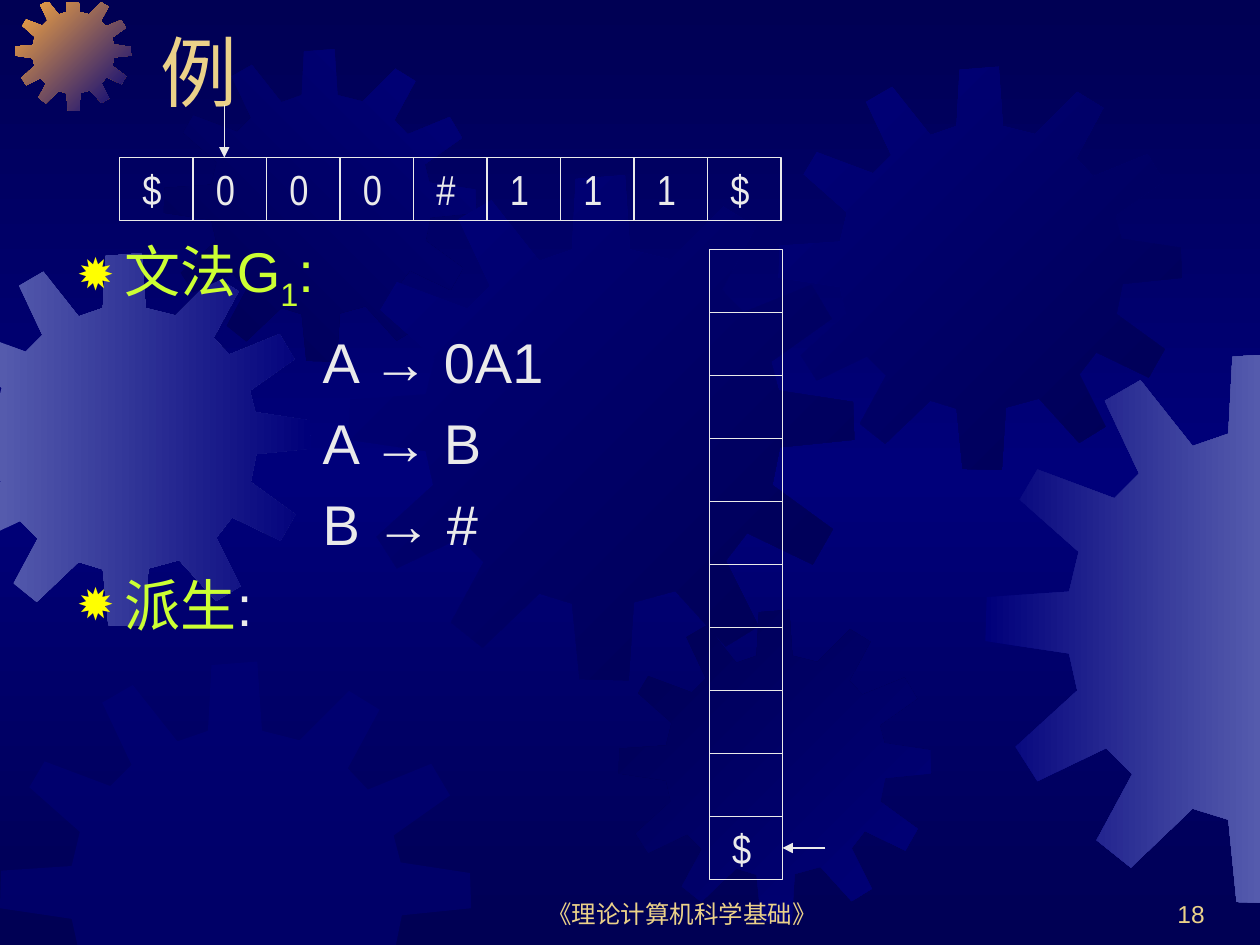
from copy import deepcopy

from lxml.etree import SubElement
from pptx import Presentation
from pptx.dml.color import RGBColor
from pptx.enum.shapes import MSO_CONNECTOR, MSO_SHAPE
from pptx.enum.text import MSO_ANCHOR, MSO_AUTO_SIZE, PP_ALIGN
from pptx.oxml.ns import qn
from pptx.util import Inches, Pt

NAVY = RGBColor(0x00, 0x00, 0x54)
BLUE = RGBColor(0x00, 0x00, 0x7A)
LILAC = RGBColor(0x55, 0x5B, 0xAD)
ORANGE = RGBColor(0xFC, 0xAB, 0x40)
GOLD = RGBColor(0xEB, 0xD1, 0x89)
LIME = RGBColor(0xCC, 0xFF, 0x33)
PALE = RGBColor(0xEA, 0xEA, 0xEA)
YELLOW = "FFFF00"

# Outline of the twelve-toothed gear on a square GEAR_SIZE units wide
GEAR_SIZE = 401
GEAR = [
    (255, 67), (223, 59), (219, 0), (180, 3), (177, 59), (151, 68),
    (113, 20), (87, 35), (112, 88), (94, 106), (38, 85), (25, 107),
    (68, 145), (61, 174), (1, 178), (0, 210), (61, 219), (67, 246),
    (22, 287), (38, 312), (88, 288), (107, 307), (81, 355), (106, 375),
    (151, 332), (177, 340), (183, 400), (222, 401), (226, 339), (259, 330),
    (299, 374), (325, 358), (299, 306), (316, 284), (368, 309), (384, 281),
    (336, 246), (342, 216), (401, 210), (400, 180), (341, 171), (335, 148),
    (383, 114), (367, 87), (313, 109), (296, 91), (323, 41), (297, 25),
]
# left, top, size, first colour, last colour, clockwise angle
GEARS = [
    (-0.49, 2.01, 2.96, LILAC, BLUE, 0),
    (0.12, -0.04, 0.92, ORANGE, BLUE, 45),
    (1.3, 0.39, 2.48, NAVY, BLUE, 315),
    (2.77, 1.39, 4.01, BLUE, NAVY, 45),
    (0, 5.25, 3.74, BLUE, None, 0),
    (4.91, 4.84, 2.48, NAVY, BLUE, 45),
    (6.18, 0.53, 3.2, BLUE, NAVY, 45),
    (7.82, 2.8, 4.37, BLUE, LILAC, 0),
]


def add_run(p, text, size=32, color=PALE, font="Arial", baseline=0):
    r = p.add_run()
    r.text = text
    r.font.size = Pt(size)
    r.font.name = font
    r.font.color.rgb = color
    if baseline:
        r._r.get_or_add_rPr().set("baseline", str(baseline * 1000))


def set_gradient(fill, colors, angle):
    fill.gradient()
    fill.gradient_angle = (360 - angle) % 360
    for stop, color in zip(fill.gradient_stops, colors):
        stop.color.rgb = color


def set_background(s):
    set_gradient(s.background.fill, (NAVY, BLUE), 90)
    stops = s.element.find(".//" + qn("a:gsLst"))
    stops.append(deepcopy(stops[0]))
    for stop, pos in zip(stops, (0, 50, 100)):
        stop.set("pos", str(pos * 1000))


def clip(points, axis, limit, sign):
    """Keep the part of a polygon where sign * (coordinate - limit) >= 0."""
    kept = []
    for a, b in zip(points, points[1:] + points[:1]):
        da, db = (sign * (pt[axis] - limit) for pt in (a, b))
        if da >= 0:
            kept.append(a)
        if da * db < 0:
            t = da / (da - db)
            kept.append(tuple(u + t * (v - u) for u, v in zip(a, b)))
    return kept


def add_gear(s, left, top, size, first, last, angle):
    k = size / GEAR_SIZE
    points = [(Inches(left + x * k), Inches(top + y * k)) for x, y in GEAR]
    for axis, limit, sign in ((0, 0, 1), (1, 0.02, 1), (0, 10, -1), (1, 7.5, -1)):
        points = clip(points, axis, Inches(limit), sign)
    builder = s.shapes.build_freeform(*points[0])
    builder.add_line_segments(points[1:], close=True)
    gear = builder.convert_to_shape()
    gear.shadow.inherit = False
    gear.line.fill.background()
    if last:
        set_gradient(gear.fill, (first, last), angle)
    else:
        gear.fill.solid()
        gear.fill.fore_color.rgb = first
        color = gear.element.spPr.find(".//" + qn("a:srgbClr"))
        SubElement(color, qn("a:alpha"), val="50000")


def place(ph, left, top, width, height):
    """Put a placeholder in its box, in front of the gears."""
    ph.left, ph.top = Inches(left), Inches(top)
    ph.width, ph.height = Inches(width), Inches(height)
    ph.element.getparent().append(ph.element)
    ph.text_frame.auto_size = MSO_AUTO_SIZE.NONE
    return ph.text_frame


def add_title(s, left, top, width, height):
    tf = place(s.shapes.title, left, top, width, height)
    tf.vertical_anchor = MSO_ANCHOR.BOTTOM
    p = tf.paragraphs[0]
    p.alignment = PP_ALIGN.LEFT
    add_run(p, "例", size=44, color=GOLD)


def format_item(p, bullet):
    pPr = p._p.get_or_add_pPr()
    pPr.set("marL", str(Inches(0.38 if bullet else 1.95)))
    pPr.set("indent", str(Inches(-0.38 if bullet else 0)))
    if bullet:
        SubElement(SubElement(pPr, qn("a:buClr")), qn("a:srgbClr"), val=YELLOW)
        SubElement(pPr, qn("a:buSzPct"), val="80000")
        SubElement(pPr, qn("a:buChar"), char="✹")
    else:
        SubElement(pPr, qn("a:buNone"))


def add_grammar(s, left, top, width, height):
    tf = place(s.placeholders[1], left, top, width, height)
    items = [
        (True, [("文法G", LIME, 0), ("1", LIME, -25), (":", LIME, 0)]),
        (False, [("A → 0A1", PALE, 0)]),
        (False, [("A → B", PALE, 0)]),
        (False, [("B → #", PALE, 0)]),
        (True, [("派生", LIME, 0), (":", PALE, 0)]),
    ]
    for i, (bullet, runs) in enumerate(items):
        p = tf.add_paragraph() if i else tf.paragraphs[0]
        format_item(p, bullet)
        p.space_before = Pt(8 if i else 0)
        for text, color, baseline in runs:
            add_run(p, text, color=color, baseline=baseline)


def add_cell(s, left, top, width, height, text):
    cell = s.shapes.add_shape(MSO_SHAPE.RECTANGLE, left, top, width, height)
    cell.shadow.inherit = False
    cell.fill.background()
    cell.line.color.rgb = PALE
    cell.line.width = Pt(0.75)
    if text:
        tf = cell.text_frame
        tf.margin_left, tf.margin_right = Inches(0.18), Inches(0)
        tf.vertical_anchor = MSO_ANCHOR.TOP
        p = tf.paragraphs[0]
        p.alignment = PP_ALIGN.LEFT
        add_run(p, text, size=24, font="Arial Narrow")
    return cell


def add_arrow(s, x1, y1, x2, y2):
    arrow = s.shapes.add_connector(
        MSO_CONNECTOR.STRAIGHT, Inches(x1), Inches(y1), Inches(x2), Inches(y2))
    arrow.line.color.rgb = PALE
    arrow.line.width = Pt(0.75)
    SubElement(arrow.line._get_or_add_ln(), qn("a:tailEnd"), type="triangle")
    SubElement(arrow.element.spPr, qn("a:effectLst"))
    return arrow


def add_tape(s, left, top, width, height, symbols):
    step = Inches(width) / len(symbols)
    for i, symbol in enumerate(symbols):
        add_cell(s, round(Inches(left) + i * step), Inches(top),
                 round(step), Inches(height), symbol)
    add_arrow(s, left + 0.83, top - 0.42, left + 0.83, top)


def add_stack(s, left, top, width, height, symbols):
    step = height / len(symbols)
    for i, symbol in enumerate(symbols):
        cell = add_cell(s, Inches(left), Inches(top + i * step),
                        Inches(width), Inches(step), symbol)
    y = top + height - step / 2
    arrow = add_arrow(s, left + width + 0.34, y, left + width, y)
    arrow.end_connect(cell, 3)


def add_footer(s, left, top, width, height, text, align):
    tf = s.shapes.add_textbox(
        Inches(left), Inches(top), Inches(width), Inches(height)).text_frame
    tf.word_wrap = True
    tf.vertical_anchor = MSO_ANCHOR.BOTTOM
    p = tf.paragraphs[0]
    p.alignment = align
    add_run(p, text, size=14, color=GOLD)


def main():
    prs = Presentation()
    prs.slide_width, prs.slide_height = Inches(10), Inches(7.5)
    s = prs.slides.add_slide(prs.slide_layouts[1])
    set_background(s)
    for gear in GEARS:
        add_gear(s, *gear)
    add_footer(s, 3.83, 6.92, 3.17, 0.5, "《理论计算机科学基础》", PP_ALIGN.CENTER)
    add_footer(s, 7.58, 6.92, 2.08, 0.5, "18", PP_ALIGN.RIGHT)
    add_title(s, 1.17, -0.27, 8.5, 1.25)
    add_grammar(s, 0.51, 1.83, 5.21, 5.08)
    add_tape(s, 0.95, 1.25, 5.25, 0.5, "$000#111$")
    add_stack(s, 5.63, 1.98, 0.58, 5, [""] * 9 + ["$"])
    prs.save("out.pptx")


if __name__ == "__main__":
    main()
